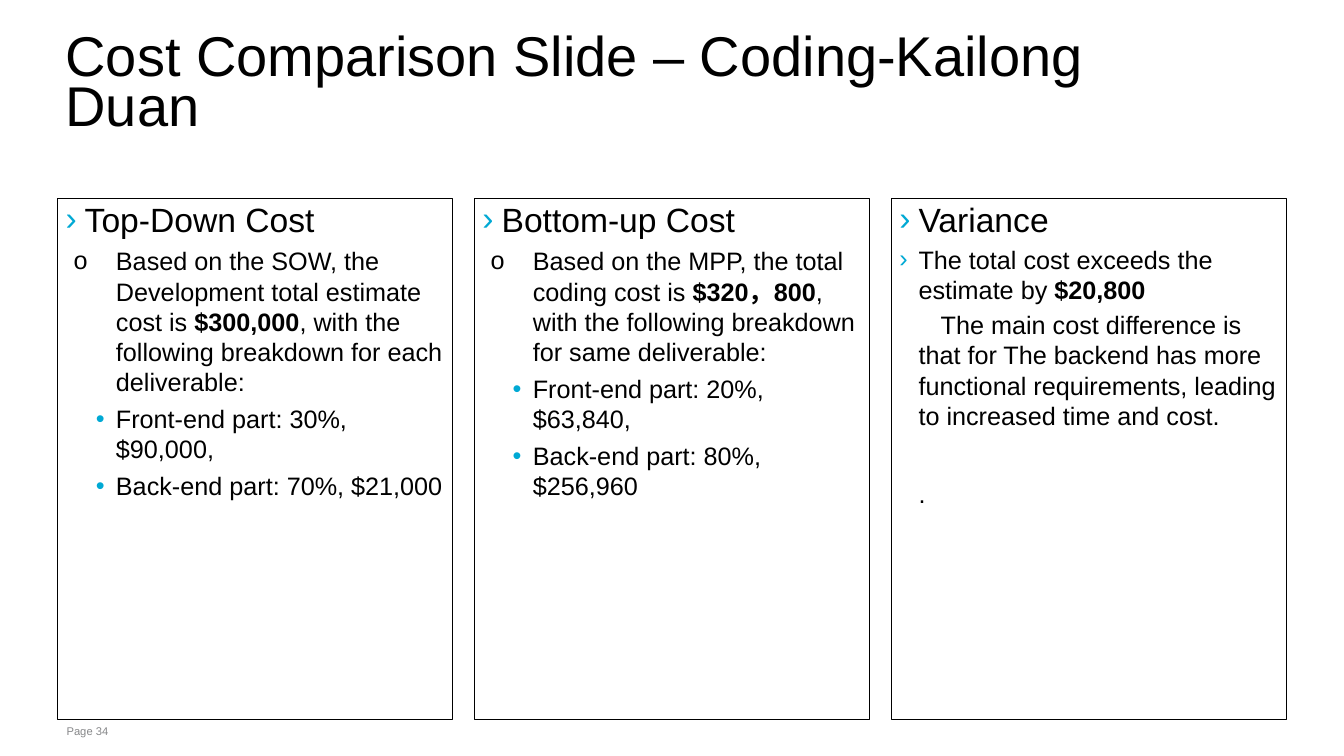
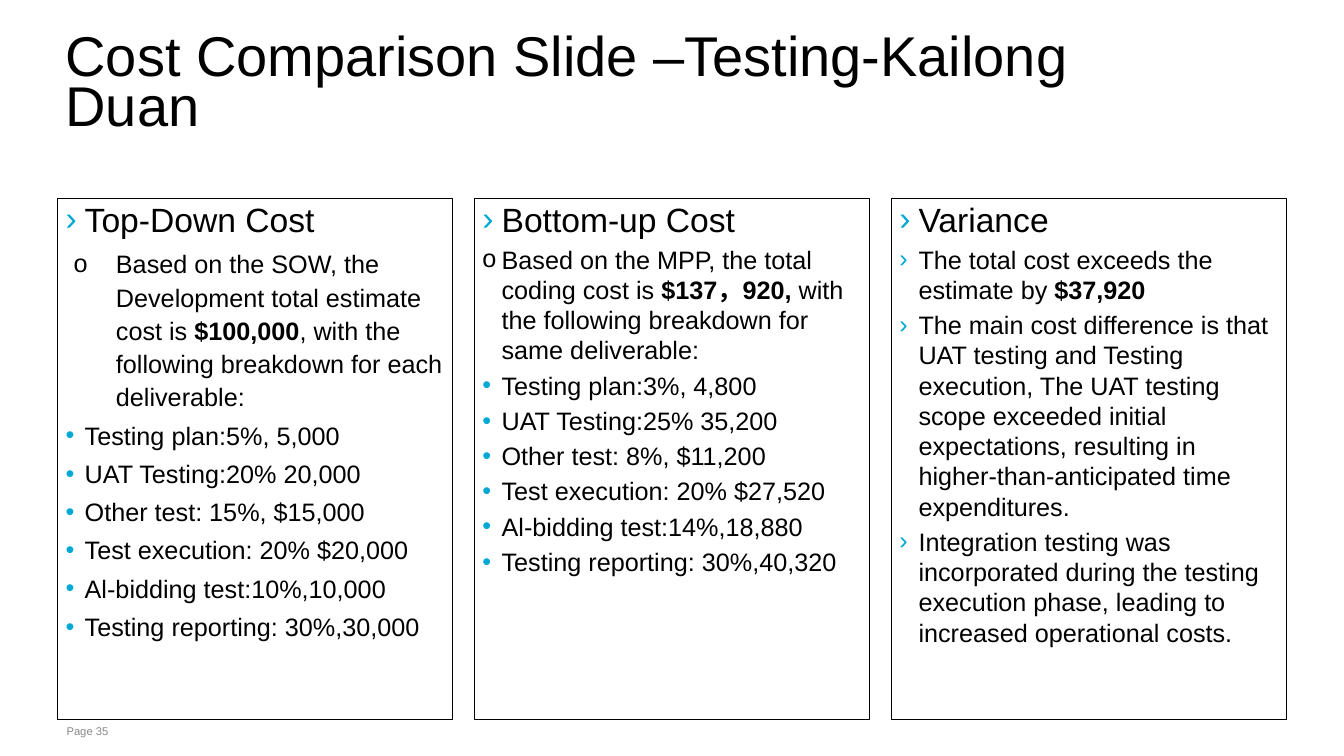
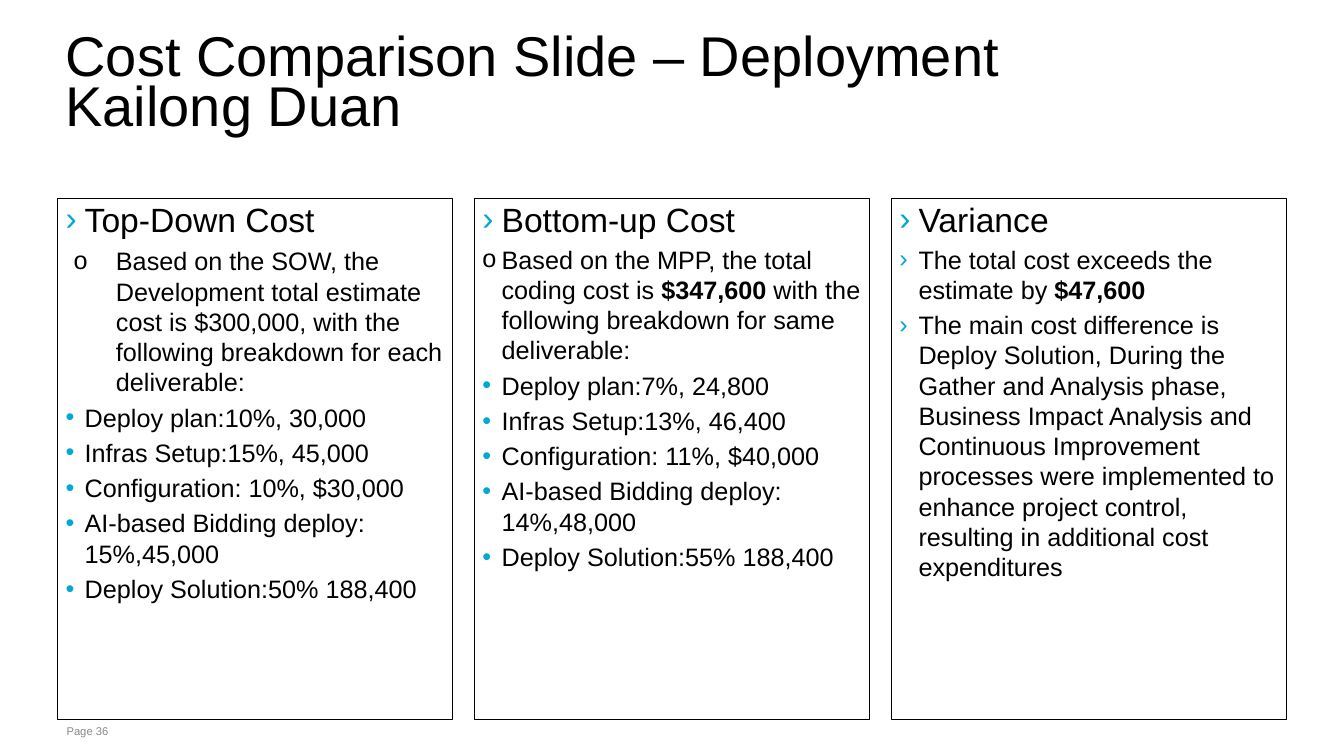
from dataclasses import dataclass

from lxml import etree
from pptx import Presentation
from pptx import util as u
from pptx.dml import color
from pptx.enum import shapes, text
from pptx.oxml import ns


@dataclass(frozen=True)
class Theme:
    font: str = "Arial"
    ink: str = "000000"
    accent: str = "00A9D4"
    muted: str = "87888A"
    title_size: float = 40
    heading_size: float = 24
    body_size: float = 18
    footer_size: float = 8
    border: float = 0.75
    inset: float = 0.08


@dataclass(frozen=True)
class ParagraphStyle:
    size: float = 18
    margin: float = 0.19
    indent: float = -0.19
    before: float = 3.6
    after: float = 0
    bullet: str = ""
    bullet_color: str = ""


THEME = Theme()
SLIDE_WIDTH, SLIDE_HEIGHT = 13.33, 7.5
LEFT, RIGHT = 0.57, 12.76
COLUMN_TOP, COLUMN_WIDTH, COLUMN_HEIGHT = 1.97, 3.92, 5.17
COLUMN_COUNT = 3
COLUMN_STEP = (RIGHT - LEFT - COLUMN_WIDTH) / (COLUMN_COUNT - 1)
FIRST_PAGE = 34

STYLES = {
    "heading": ParagraphStyle(THEME.heading_size, before=0, bullet="›", bullet_color=THEME.accent),
    "point": ParagraphStyle(bullet="›", bullet_color=THEME.accent),
    "basis": ParagraphStyle(bullet="o", bullet_color=THEME.ink),
    "deep basis": ParagraphStyle(margin=0.5, indent=-0.42, before=4.8, bullet="o", bullet_color=THEME.ink),
    "item": ParagraphStyle(indent=-0.19, bullet="•", bullet_color=THEME.accent),
    "deep item": ParagraphStyle(margin=0.5, indent=-0.2, before=4.8, bullet="•", bullet_color=THEME.accent),
    "remark": ParagraphStyle(indent=0.22, after=9),
    "closing": ParagraphStyle(indent=0, before=25),
}


@dataclass(frozen=True)
class Column:
    heading: str
    lines: list
    line_spacing: float = 1.0


def items(style, *entries):
    return [(style, entry) for entry in entries]


def top_down(basis, entries, line_spacing=1.0, item_style="item"):
    sentence = (f"Based on the SOW, the Development total estimate cost is {basis}, "
                "with the following breakdown for each deliverable:")
    return Column("Top-Down Cost", [("deep basis", sentence)] + items(item_style, *entries), line_spacing)


def bottom_up(basis, entries, basis_style="basis", item_style="item"):
    sentence = (f"Based on the MPP, the total coding cost is{basis}"
                "with the following breakdown for same deliverable:")
    return Column("Bottom-up Cost", [(basis_style, sentence)] + items(item_style, *entries))


def variance(amount, lines):
    excess = ("point", f"The total cost exceeds the estimate by **{amount}**")
    return Column("Variance", [excess] + lines)


COMPARISONS = [
    ("Cost Comparison Slide – Coding-Kailong Duan", [
        top_down("**$300,000**", ["Front-end part: 30%, $90,000,", "Back-end part: 70%, $21,000"],
                 item_style="deep item"),
        bottom_up("** $320，800**, ", ["Front-end part: 20%, $63,840,", "Back-end part: 80%, $256,960"],
                  "deep basis", "deep item"),
        variance("$20,800", [
            ("remark", "The main cost difference is that for The backend has more functional "
                       "requirements, leading to increased time and cost."),
            ("closing", "."),
        ]),
    ]),
    ("Cost Comparison Slide –Testing-Kailong Duan", [
        top_down("**$100,000**", [
            "Testing plan:5%, 5,000", "UAT Testing:20% 20,000", "Other test: 15%, $15,000",
            "Test execution: 20% $20,000", "Al-bidding test:10%,10,000", "Testing reporting: 30%,30,000",
        ], line_spacing=1.1),
        bottom_up("** $137，920,** ", [
            "Testing plan:3%, 4,800", "UAT Testing:25% 35,200", "Other test: 8%, $11,200",
            "Test execution: 20% $27,520", "Al-bidding test:14%,18,880", "Testing reporting: 30%,40,320",
        ]),
        variance("$37,920", items(
            "point",
            "The main cost difference is that UAT testing and Testing execution, The UAT testing scope "
            "exceeded initial expectations, resulting in higher-than-anticipated time expenditures.",
            "Integration testing was incorporated during the testing execution phase, leading to "
            "increased operational costs.",
        )),
    ]),
    ("Cost Comparison Slide – Deployment Kailong Duan", [
        top_down("$300,000", [
            "Deploy plan:10%, 30,000", "Infras Setup:15%, 45,000", "Configuration: 10%, $30,000",
            "AI-based Bidding deploy: 15%,45,000", "Deploy Solution:50% 188,400",
        ]),
        bottom_up("** $347,600 **", [
            "Deploy plan:7%, 24,800", "Infras Setup:13%, 46,400", "Configuration: 11%, $40,000",
            "AI-based Bidding deploy: 14%,48,000", "Deploy Solution:55% 188,400",
        ]),
        variance("$47,600", items(
            "point",
            "The main cost difference is Deploy Solution, During the Gather and Analysis phase, Business "
            "Impact Analysis and Continuous Improvement processes were implemented to enhance project "
            "control, resulting in additional cost expenditures",
        )),
    ]),
]


def format_font(font, size, rgb=THEME.ink, bold=False):
    font.name = THEME.font
    font.size = u.Pt(size)
    font.bold = bold
    font.color.rgb = color.RGBColor.from_string(rgb)


def format_frame(frame, anchor, vertical_inset=0):
    frame.word_wrap = True
    frame.auto_size = text.MSO_AUTO_SIZE.NONE
    frame.vertical_anchor = anchor
    frame.margin_left = frame.margin_right = u.Inches(THEME.inset)
    frame.margin_top = frame.margin_bottom = u.Inches(vertical_inset)


def place(shape, left, top, width, height):
    shape.left, shape.top = u.Inches(left), u.Inches(top)
    shape.width, shape.height = u.Inches(width), u.Inches(height)


def set_bullet(paragraph, style):
    properties = paragraph._p.get_or_add_pPr()
    properties.set("marL", str(u.Inches(style.margin)))
    properties.set("indent", str(u.Inches(style.indent)))
    if not style.bullet:
        etree.SubElement(properties, ns.qn("a:buNone"))
        return
    bullet_color = etree.SubElement(properties, ns.qn("a:buClr"))
    etree.SubElement(bullet_color, ns.qn("a:srgbClr"), val=style.bullet_color)
    etree.SubElement(properties, ns.qn("a:buFont"), typeface=THEME.font)
    etree.SubElement(properties, ns.qn("a:buChar"), char=style.bullet)


def write_paragraph(paragraph, style, content, line_spacing=1.0):
    paragraph.alignment = text.PP_ALIGN.LEFT
    paragraph.line_spacing = line_spacing
    paragraph.space_before = u.Pt(style.before)
    paragraph.space_after = u.Pt(style.after)
    set_bullet(paragraph, style)
    for index, part in enumerate(content.split("**")):
        if part:
            run = paragraph.add_run()
            run.text = part
            format_font(run.font, style.size, bold=index % 2 == 1)


def add_title(slide, content):
    title = slide.shapes.title
    place(title, LEFT, 0.26, 10.93, 1.19)
    format_frame(title.text_frame, text.MSO_ANCHOR.MIDDLE)
    title.text_frame.text = content
    paragraph = title.text_frame.paragraphs[0]
    paragraph.alignment = text.PP_ALIGN.LEFT
    paragraph.line_spacing = 0.75
    format_font(paragraph.runs[0].font, THEME.title_size)


def add_column(slide, index, column):
    box = slide.shapes.add_shape(
        shapes.MSO_SHAPE.RECTANGLE, u.Inches(LEFT + index * COLUMN_STEP), u.Inches(COLUMN_TOP),
        u.Inches(COLUMN_WIDTH), u.Inches(COLUMN_HEIGHT))
    box.shadow.inherit = False
    box.fill.background()
    box.line.color.rgb = color.RGBColor.from_string(THEME.ink)
    box.line.width = u.Pt(THEME.border)
    frame = box.text_frame
    format_frame(frame, text.MSO_ANCHOR.TOP)
    write_paragraph(frame.paragraphs[0], STYLES["heading"], column.heading)
    for style_name, content in column.lines:
        write_paragraph(frame.add_paragraph(), STYLES[style_name], content, column.line_spacing)


def add_page_footer(slide, page):
    footer = slide.shapes.add_textbox(u.Inches(0.58), u.Inches(7.14), u.Inches(10.79), u.Inches(0.24))
    format_frame(footer.text_frame, text.MSO_ANCHOR.TOP, vertical_inset=0.05)
    footer.text_frame.text = f"Page {page}"
    format_font(footer.text_frame.paragraphs[0].runs[0].font, THEME.footer_size, THEME.muted)


def add_comparison(presentation, page, title, columns):
    slide = presentation.slides.add_slide(presentation.slide_layouts[5])
    add_title(slide, title)
    for index, column in enumerate(columns):
        add_column(slide, index, column)
    add_page_footer(slide, page)


def main():
    presentation = Presentation()
    presentation.slide_width = u.Inches(SLIDE_WIDTH)
    presentation.slide_height = u.Inches(SLIDE_HEIGHT)
    for page, (title, columns) in enumerate(COMPARISONS, FIRST_PAGE):
        add_comparison(presentation, page, title, columns)
    presentation.save("out.pptx")


if __name__ == "__main__":
    main()
